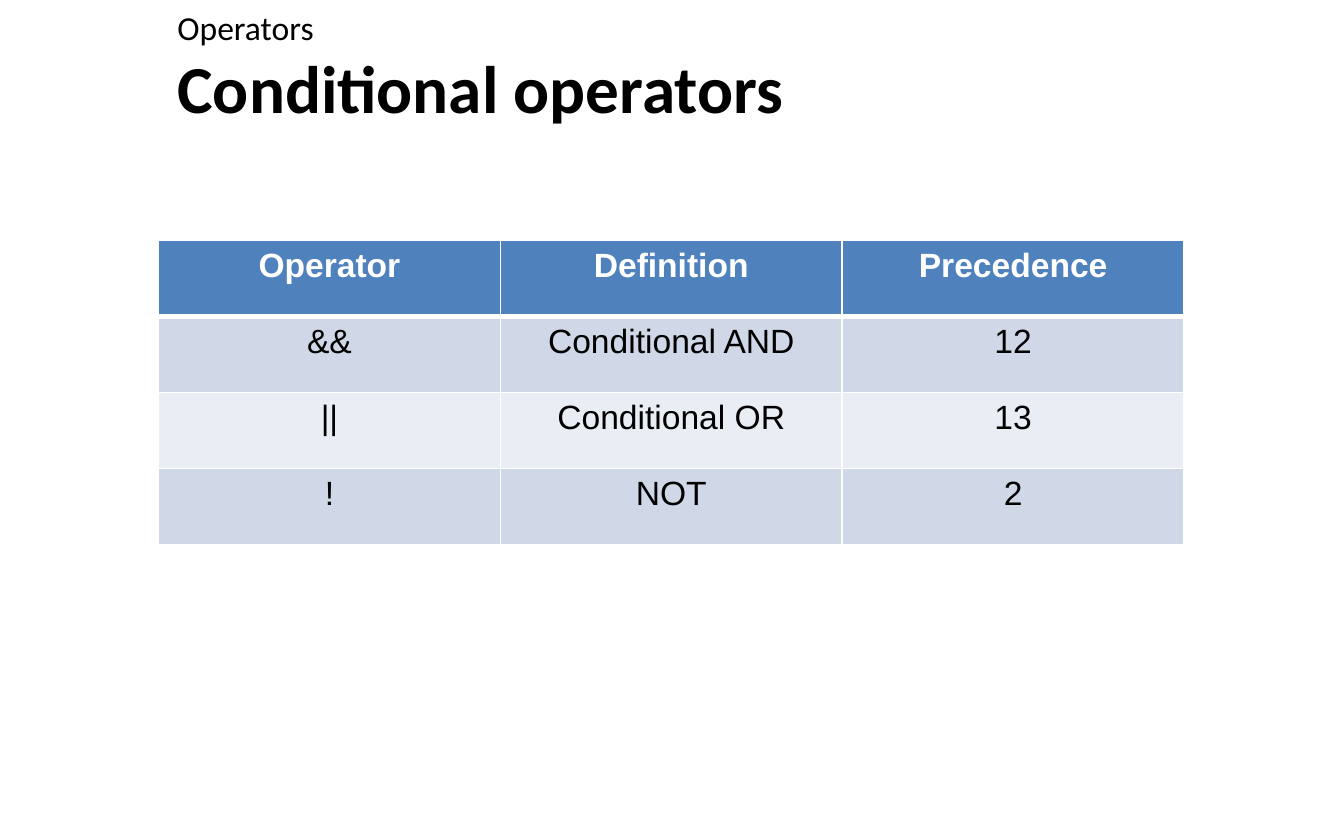
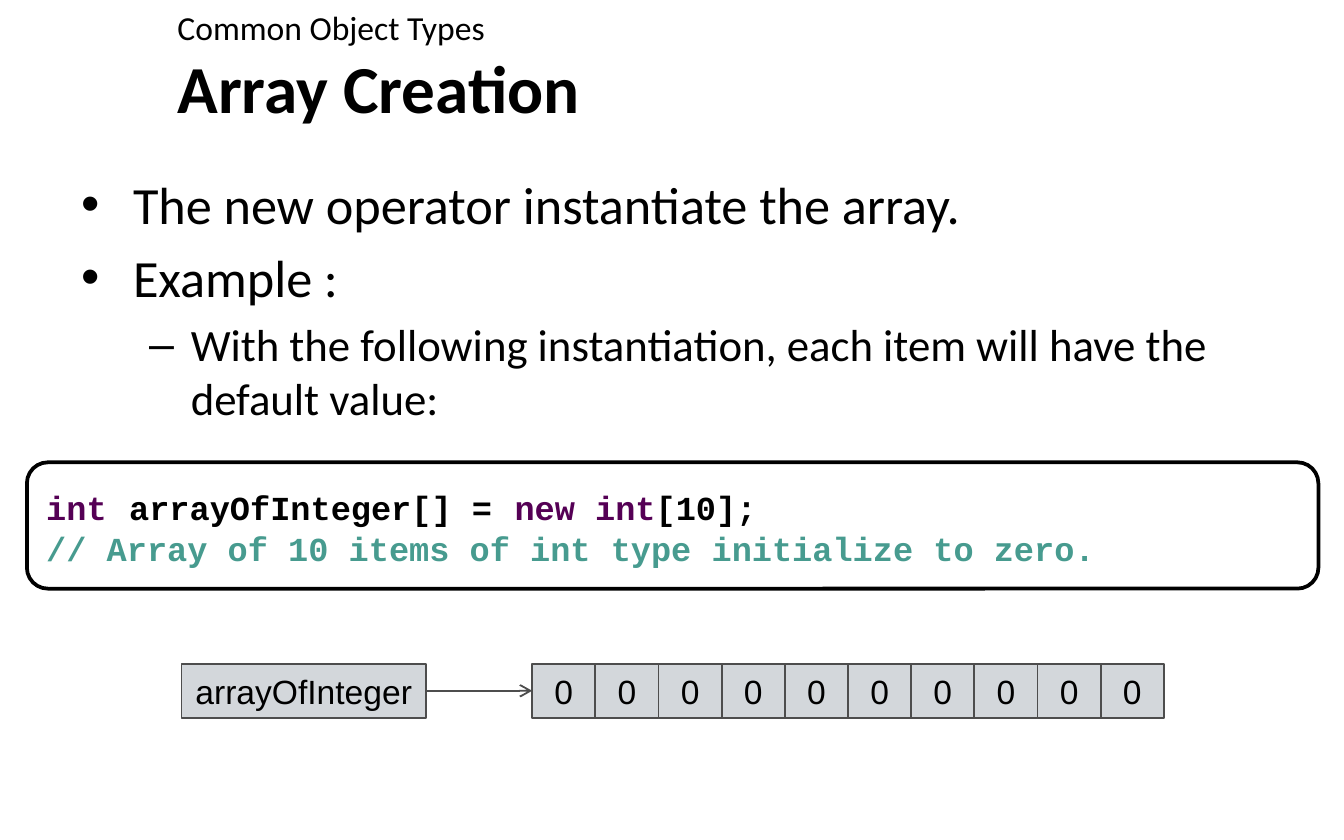
from lxml import etree
from pptx import Presentation
from pptx import util as u
from pptx.dml.color import RGBColor
from pptx.enum import shapes, text
from pptx.oxml.ns import qn

BLACK, WHITE = "000000", "FFFFFF"
HEADER, BANDS = "4F81BD", ("D0D8E8", "E9EDF4")
BOX_FILL, BOX_LINE = "D3D7DB", "4D4D4D"
KEYWORD, GAP, COMMENT = "550055", "0A3C66", "479B8F"
HEADING_FONT, LABEL_FONT, CODE_FONT = "Calibri", "Arial", "Courier New"
TITLE_AND_BODY, TWO_BODIES = 1, 3
LIST_LEVELS = (("•", 0.38, -0.38, 28), ("–", 0.81, -0.31, 24))


def color(value):
    return RGBColor.from_string(value)


def style(font, size, name, shade=BLACK, bold=False):
    font.size = u.Pt(size)
    font.name = name
    font.color.rgb = color(shade)
    font.bold = bold


def place(shape, left, top, width, height):
    shape.left, shape.top = u.Inches(left), u.Inches(top)
    shape.width, shape.height = u.Inches(width), u.Inches(height)


class Deck:
    def __init__(self):
        self.presentation = Presentation()
        self.presentation.slide_width = u.Inches(10)
        self.presentation.slide_height = u.Inches(6.25)
        self.slide = None

    def add_slide(self, layout, topic, title):
        layouts = self.presentation.slide_layouts
        self.slide = self.presentation.slides.add_slide(layouts[layout])
        heading = self.slide.shapes.title
        place(heading, 1.22, 0.37, 8.51, 0.55)
        frame = heading.text_frame
        frame.text = title
        frame.auto_size = text.MSO_AUTO_SIZE.NONE
        frame.vertical_anchor = text.MSO_ANCHOR.MIDDLE
        frame.paragraphs[0].alignment = text.PP_ALIGN.LEFT
        style(frame.paragraphs[0].runs[0].font, 36, HEADING_FONT, bold=True)
        self.body(1, (1.22, 0, 8.51, 0.37), [(topic, 0)], [(None, 0, 0, 18)])

    def body(self, index, box, items, levels):
        placeholder = self.slide.placeholders[index]
        place(placeholder, *box)
        frame = placeholder.text_frame
        frame.text = "\n".join(item for item, level in items)
        frame.auto_size = text.MSO_AUTO_SIZE.NONE
        frame.vertical_anchor = text.MSO_ANCHOR.TOP
        for row, (paragraph, (item, level)) in enumerate(zip(frame.paragraphs, items)):
            bullet, margin, indent, size = levels[level]
            paragraph.level = level
            paragraph.space_before = u.Pt(0.2 * size if row else 0)
            properties = paragraph._p.get_or_add_pPr()
            properties.set("marL", str(u.Inches(margin)))
            properties.set("indent", str(u.Inches(indent)))
            if bullet:
                etree.SubElement(properties, qn("a:buChar")).set("char", bullet)
            else:
                etree.SubElement(properties, qn("a:buNone"))
            style(paragraph.runs[0].font, size, HEADING_FONT)

    def table(self, left, top, width, height, rows):
        grid = self.slide.shapes.add_table(
            len(rows), len(rows[0]), u.Inches(left), u.Inches(top),
            u.Inches(width), u.Inches(height)).table
        for row, values in enumerate(rows):
            for column, value in enumerate(values):
                cell = grid.cell(row, column)
                self.cell_borders(cell, top=3 if row == 1 else 1,
                                  bottom=1 if row else 3)
                cell.fill.solid()
                cell.fill.fore_color.rgb = color(BANDS[(row - 1) % 2] if row else HEADER)
                cell.text_frame.text = value
                paragraph = cell.text_frame.paragraphs[0]
                paragraph.alignment = text.PP_ALIGN.CENTER
                style(paragraph.runs[0].font, 18, LABEL_FONT,
                      BLACK if row else WHITE, bold=row == 0)

    def cell_borders(self, cell, top, bottom):
        properties = cell._tc.get_or_add_tcPr()
        for side, width in (("L", 1), ("R", 1), ("T", top), ("B", bottom)):
            border = etree.SubElement(properties, qn("a:ln" + side))
            border.set("w", str(u.Pt(width)))
            fill = etree.SubElement(border, qn("a:solidFill"))
            etree.SubElement(fill, qn("a:srgbClr")).set("val", WHITE)

    def box(self, kind, bounds, fill, line, line_width):
        shape = self.slide.shapes.add_shape(kind, *map(u.Inches, bounds))
        shape.shadow.inherit = False
        shape.fill.solid()
        shape.fill.fore_color.rgb = color(fill)
        shape.line.color.rgb = color(line)
        shape.line.width = u.Pt(line_width)
        shape.text_frame.word_wrap = True
        shape.text_frame.vertical_anchor = text.MSO_ANCHOR.MIDDLE
        return shape

    def label_box(self, label, left, top, width, height):
        shape = self.box(shapes.MSO_SHAPE.RECTANGLE, (left, top, width, height),
                         BOX_FILL, BOX_LINE, 1)
        shape.text_frame.text = label
        paragraph = shape.text_frame.paragraphs[0]
        paragraph.alignment = text.PP_ALIGN.CENTER
        style(paragraph.runs[0].font, 18, LABEL_FONT)
        return shape

    def code_box(self, bounds, lines):
        frame = self.box(shapes.MSO_SHAPE.ROUNDED_RECTANGLE, bounds,
                         WHITE, BLACK, 2).text_frame
        for row, parts in enumerate(lines):
            paragraph = frame.add_paragraph() if row else frame.paragraphs[0]
            paragraph.alignment = text.PP_ALIGN.LEFT
            for code, size, shade in parts:
                run = paragraph.add_run()
                run.text = code
                style(run.font, size, CODE_FONT, shade, bold=True)

    def arrow(self, source, target):
        connector = self.slide.shapes.add_connector(
            shapes.MSO_CONNECTOR.STRAIGHT, 0, 0, 0, 0)
        connector.begin_connect(source, 3)
        connector.end_connect(target, 1)
        connector.line.color.rgb = color(BOX_LINE)
        connector.line.width = u.Pt(1)
        properties = connector._element.spPr
        line = properties.find(qn("a:ln"))
        etree.SubElement(line, qn("a:tailEnd")).set("type", "arrow")
        etree.SubElement(properties, qn("a:effectLst"))


def conditional_operators(deck):
    deck.add_slide(TITLE_AND_BODY, "Operators", "Conditional operators")
    deck.table(1.18, 1.79, 7.63, 2.26, [
        ("Operator", "Definition", "Precedence"),
        ("&&", "Conditional AND", "12"),
        ("||", "Conditional OR", "13"),
        ("!", "NOT", "2"),
    ])


def array_creation(deck):
    deck.add_slide(TWO_BODIES, "Common Object Types", "Array Creation")
    deck.body(2, (0.51, 1.23, 9.06, 4.63), [
        ("The new operator instantiate the array.", 0),
        ("Example :", 0),
        ("With the following instantiation, each item will have the default value:", 1),
    ], LIST_LEVELS)
    space = (" ", 20, GAP)
    deck.code_box((0.2, 3.44, 9.61, 0.94), [
        [("int", 18, KEYWORD), space, ("arrayOfInteger[] =", 18, BLACK), space,
         ("new int", 18, KEYWORD), ("[10];", 18, BLACK)],
        [("// Array of 10 items of int type initialize to zero.", 18, COMMENT)],
    ])
    top, height, item_width = 4.94, 0.4, 0.47
    variable = deck.label_box("arrayOfInteger", 1.35, top, 1.82, height)
    items = [deck.label_box("0", 3.96 + index * item_width, top, item_width, height)
             for index in range(10)]
    deck.arrow(variable, items[0])


def main():
    deck = Deck()
    conditional_operators(deck)
    array_creation(deck)
    deck.presentation.save("out.pptx")


if __name__ == "__main__":
    main()
